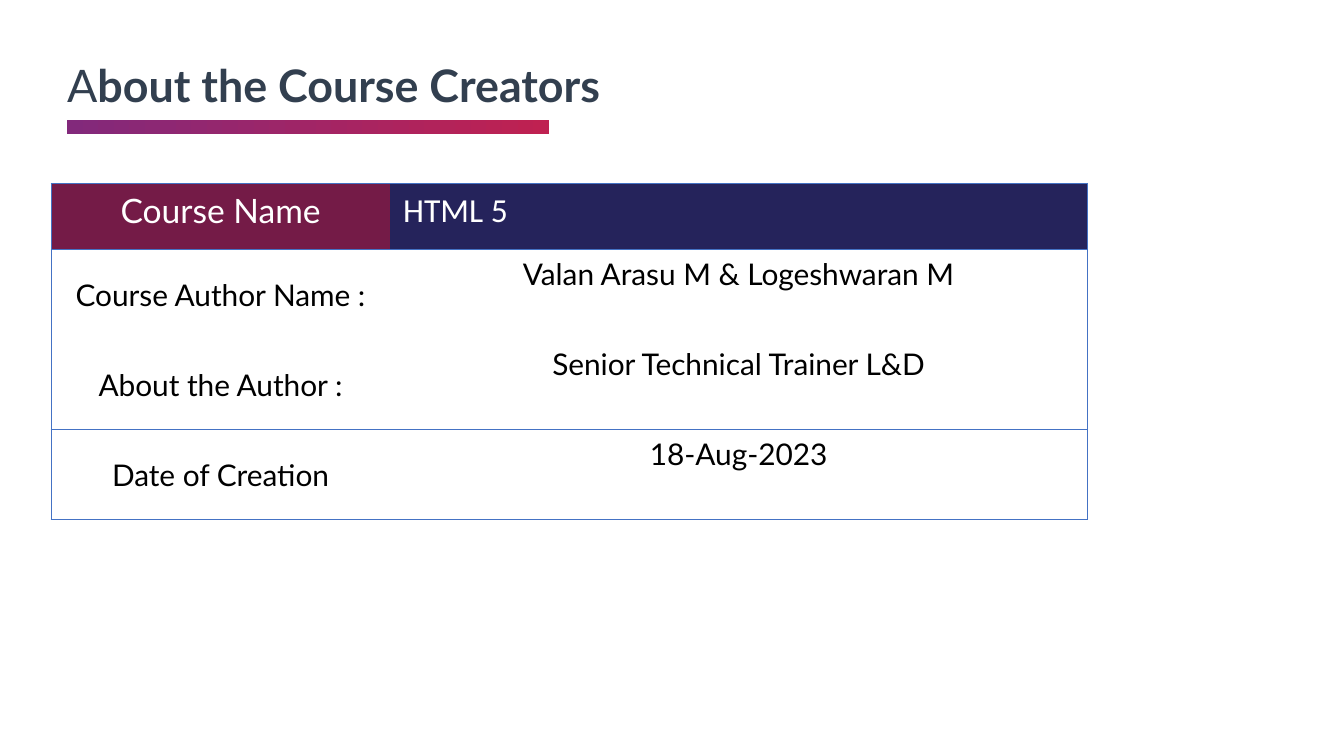
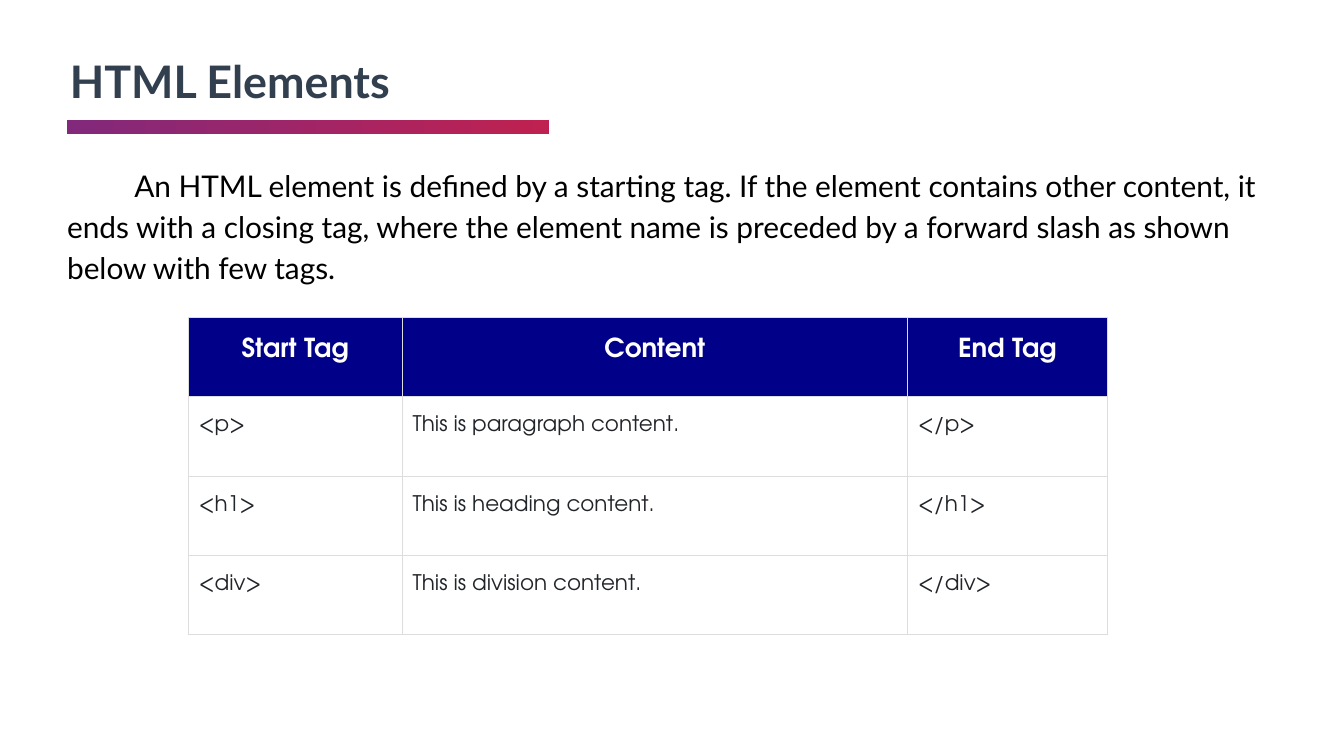
import pptx
import pptx.dml.color
import pptx.enum.shapes
import pptx.enum.text
import pptx.oxml
import pptx.oxml.ns
import pptx.util
from lxml import etree

Cm = pptx.util.Cm
Pt = pptx.util.Pt
ALIGN = pptx.enum.text.PP_ALIGN
ANCHOR = pptx.enum.text.MSO_ANCHOR

TEXT_FONT = "Lato"
TAG_FONT = "TeX Gyre Adventor"
TITLE_COLOR = "323F4F"
BAND_COLORS = ("82297B", "BF2151")
BLACK = "000000"
WHITE = "FFFFFF"
COURSE_LABEL_FILL = "741B47"
COURSE_NAME_FILL = "25235B"
COURSE_BORDER = "4472C4"
TAG_HEADER_FILL = "000088"
TAG_TEXT = "212529"
TAG_BORDER = "DDDDDD"
MARGIN = 1.27

COURSE_ROWS = (
    ("Course Name", "HTML 5"),
    ("Course Author Name :", "Valan Arasu M & Logeshwaran M"),
    ("About the Author :", "Senior Technical Trainer L&D"),
    ("Date of Creation", "18-Aug-2023"),
)
TAG_ROWS = (
    ("Start Tag", "Content", "End Tag"),
    ("<p>", "This is paragraph content.", "</p>"),
    ("<h1>", "This is heading content.", "</h1>"),
    ("<div>", "This is division content.", "</div>"),
)


def rgb(value):
    return pptx.dml.color.RGBColor.from_string(value)


def format_run(run, size, color, bold=False, font=TEXT_FONT):
    run.font.name = font
    run.font.size = Pt(size)
    run.font.bold = bold
    run.font.color.rgb = rgb(color)


def set_insets(target, horizontal, vertical):
    target.margin_left = target.margin_right = Cm(horizontal)
    target.margin_top = target.margin_bottom = Cm(vertical)


def add_text(slide, box, pieces, size, color, line_spacing=1.0):
    """Add one paragraph made of (text, bold) pieces."""
    frame = slide.shapes.add_textbox(*map(Cm, box)).text_frame
    frame.word_wrap = True
    set_insets(frame, 0, 0)
    paragraph = frame.paragraphs[0]
    paragraph.line_spacing = line_spacing
    for text, bold in pieces:
        run = paragraph.add_run()
        run.text = text
        format_run(run, size, color, bold)
    return paragraph


def add_title_band(slide):
    band = slide.shapes.add_shape(
        pptx.enum.shapes.MSO_SHAPE.RECTANGLE,
        Cm(MARGIN), Cm(2.26), Cm(9.1), Cm(0.28))
    band.shadow.inherit = False
    band.line.fill.background()
    band.fill.gradient()
    band.fill.gradient_angle = 0
    for stop, color, position in zip(band.fill.gradient_stops, BAND_COLORS, (0, 1)):
        stop.color.rgb = rgb(color)
        stop.position = position


def add_title(slide, box, pieces, line_spacing=1.0):
    add_title_band(slide)
    add_text(slide, box, pieces, 24, TITLE_COLOR, line_spacing)


def add_plain_table(slide, left, top, widths, heights):
    """Add a table without the header and banding of its style."""
    table = slide.shapes.add_table(
        len(heights), len(widths), Cm(left), Cm(top),
        Cm(sum(widths)), Cm(sum(heights))).table
    table.first_row = False
    table.horz_banding = False
    for column, width in zip(table.columns, widths):
        column.width = Cm(width)
    for row, height in zip(table.rows, heights):
        row.height = Cm(height)
    return table


def fill_cell(cell, text, size, color, fill=None, bold=False, font=TEXT_FONT,
              align=ALIGN.LEFT, line_spacing=1.0):
    cell.text_frame.text = text
    paragraph = cell.text_frame.paragraphs[0]
    paragraph.alignment = align
    paragraph.line_spacing = line_spacing
    format_run(paragraph.runs[0], size, color, bold, font)
    if fill:
        cell.fill.solid()
        cell.fill.fore_color.rgb = rgb(fill)
    else:
        cell.fill.background()


def set_borders(cell, color, sides):
    """Draw the named sides (L, R, T, B) and hide the others."""
    properties = cell._tc.get_or_add_tcPr()
    qn = pptx.oxml.ns.qn
    for index, side in enumerate("LRTB"):
        line = etree.Element(qn(f"a:ln{side}"), w=str(Pt(0.75)))
        if side in sides:
            solid = etree.SubElement(line, qn("a:solidFill"))
            etree.SubElement(solid, qn("a:srgbClr"), val=color)
        else:
            etree.SubElement(line, qn("a:noFill"))
        properties.insert(index, line)


def add_course_table(slide, left, top):
    table = add_plain_table(slide, left, top, (6.4, 13.18), (1.25, 1.7, 1.7, 1.7))
    row_sides = ("TB", "T", "B", "TB")
    for row_index, (label, value) in enumerate(COURSE_ROWS):
        label_cell, value_cell = table.rows[row_index].cells
        if row_index == 0:
            fill_cell(label_cell, label, 18, WHITE, COURSE_LABEL_FILL, align=ALIGN.CENTER)
            fill_cell(value_cell, value, 18, WHITE, COURSE_NAME_FILL, font="Calibri")
        else:
            fill_cell(label_cell, label, 16, BLACK, align=ALIGN.CENTER)
            fill_cell(value_cell, value, 16, BLACK, align=ALIGN.CENTER)
            label_cell.vertical_anchor = ANCHOR.MIDDLE
        for cell, outer_side in ((label_cell, "L"), (value_cell, "R")):
            set_insets(cell, 0.25, 0.13)
            set_borders(cell, COURSE_BORDER, row_sides[row_index] + outer_side)


def add_tag_table(slide, left, top):
    table = add_plain_table(slide, left, top, (4.04, 9.55, 3.78), [1.5] * len(TAG_ROWS))
    header = dict(size=14, color=WHITE, fill=TAG_HEADER_FILL, bold=True, align=ALIGN.CENTER)
    body = dict(size=11.5, color=TAG_TEXT)
    for row_index, texts in enumerate(TAG_ROWS):
        style = body if row_index else header
        for cell, text in zip(table.rows[row_index].cells, texts):
            fill_cell(cell, text, font=TAG_FONT, line_spacing=1.43, **style)
            set_insets(cell, 0.2, 0.2)
            set_borders(cell, TAG_BORDER, "LRTB")


def build_creators_slide(slide):
    add_title(slide, (MARGIN, 1.09, 13.26, 1.45),
              (("A", False), ("bout the Course Creators", True)))
    add_course_table(slide, 0.97, 3.47)


def build_elements_slide(slide):
    add_title(slide, (1.32, 1.14, 15, 0.95), (("HTML Elements", True),), 0.9)
    paragraph = add_text(
        slide, (MARGIN, 3.07, 22.58, 2.6),
        (("An HTML element is defined by a starting tag. If the element contains "
          "other content, it ends with a closing tag, where the element name is "
          "preceded by a forward slash as shown below with few tags.", False),),
        16, BLACK, 1.15)
    properties = paragraph._p.get_or_add_pPr()
    properties.set("marL", "0")
    properties.set("indent", str(Cm(1.27)))
    add_tag_table(slide, 3.56, 6)


def main():
    presentation = pptx.Presentation()
    presentation.slide_width = Cm(25.4)
    presentation.slide_height = Cm(14.29)
    blank = presentation.slide_layouts[6]
    for build in (build_creators_slide, build_elements_slide):
        build(presentation.slides.add_slide(blank))
    presentation.save("out.pptx")


if __name__ == "__main__":
    main()
